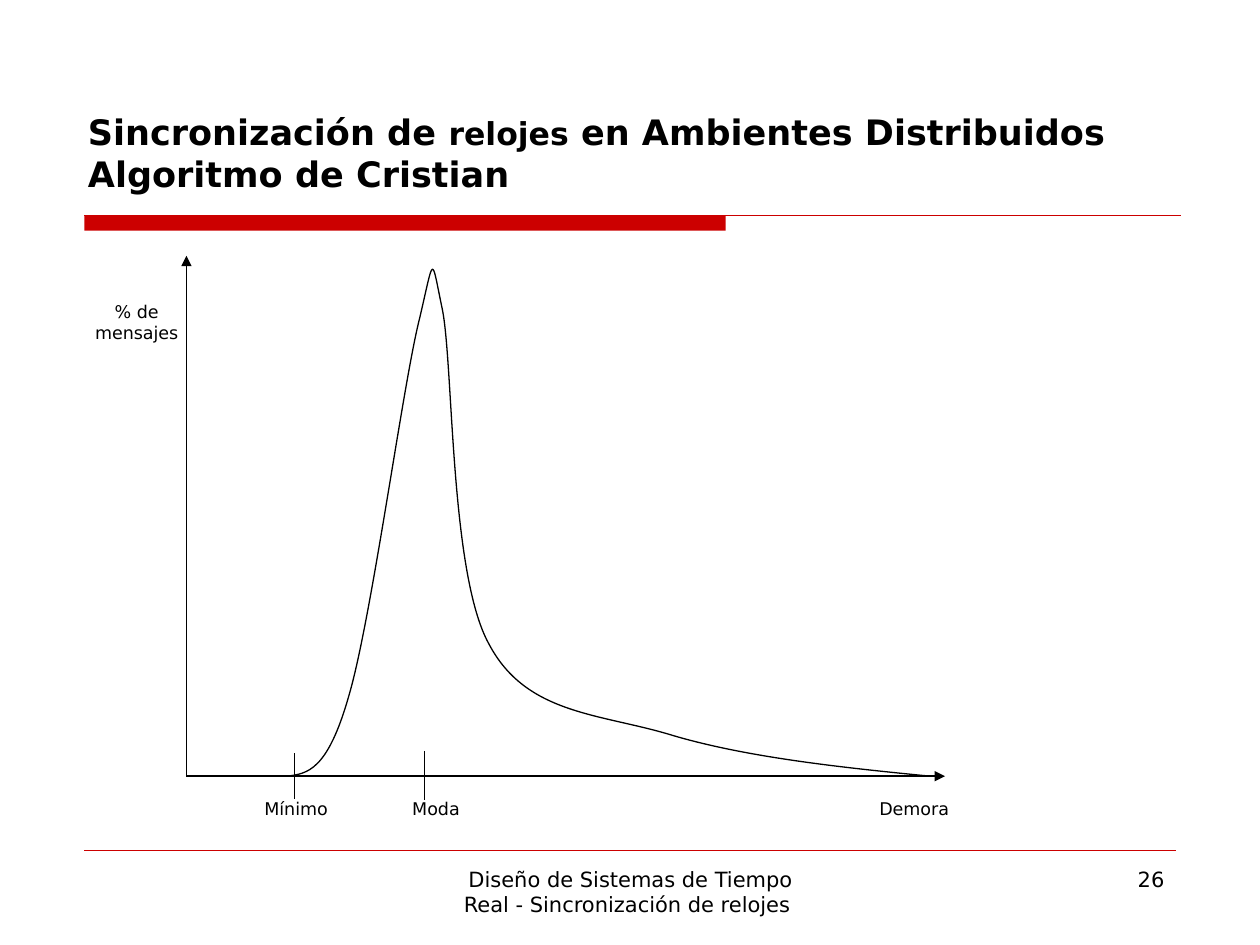
from lxml.etree import SubElement
from pptx import Presentation
from pptx.dml.color import RGBColor
from pptx.enum.shapes import MSO_CONNECTOR as Connector, MSO_SHAPE as Shape
from pptx.enum.text import MSO_ANCHOR as Anchor, PP_ALIGN as Align
from pptx.oxml.ns import qn
from pptx.util import Inches, Pt

BLACK, RED = "000000", "CC0000"
FONT = "DejaVu Sans"


def color(value):
    return RGBColor.from_string(value)


def add_text(slide, box, paragraphs, size, align=Align.CENTER, anchor=Anchor.TOP,
             insets=(0.1, 0.05), wrap=True):
    """Each paragraph is a list of runs (text, format); None is a line break."""
    shape = slide.shapes.add_textbox(*map(Inches, box))
    frame = shape.text_frame
    side, end = map(Inches, insets)
    frame_format = {"word_wrap": wrap, "vertical_anchor": anchor,
                    "margin_left": side, "margin_right": side,
                    "margin_top": end, "margin_bottom": end}
    for name, value in frame_format.items():
        setattr(frame, name, value)
    for index, runs in enumerate(paragraphs):
        paragraph = frame.add_paragraph() if index else frame.paragraphs[0]
        paragraph.alignment = align
        for part in runs:
            if part is None:
                paragraph.add_line_break()
                continue
            text, changes = part
            run = paragraph.add_run()
            run.text = text
            run.font.color.rgb = color(BLACK)
            for name, value in {"name": FONT, "size": Pt(size), **changes}.items():
                setattr(run.font, name, value)


def add_line(slide, start, end, line_color=BLACK, width=0.75, arrow=False):
    line = slide.shapes.add_connector(Connector.STRAIGHT, *map(Inches, start + end))
    line.line.color.rgb = color(line_color)
    line.line.width = Pt(width)
    if arrow:
        SubElement(line.line._get_or_add_ln(), qn("a:tailEnd"), type="triangle")
    SubElement(line._element.spPr, qn("a:effectLst"))


def add_curve(slide, points):
    """Draw a Bézier curve: a start, then two controls and an end per piece."""
    scaled = [(Inches(x), Inches(y)) for x, y in points]
    builder = slide.shapes.build_freeform(*scaled[0])
    builder.add_line_segments(scaled[1:], close=False)
    shape = builder.convert_to_shape()
    shape.shadow.inherit = False
    shape.fill.background()
    shape.line.color.rgb = color(BLACK)
    shape.line.width = Pt(0.75)
    # Turn every three straight segments into one cubic piece
    segments = list(shape._element.iter(qn("a:lnTo")))
    outline = segments[0].getparent()
    for first in range(0, len(segments), 3):
        cubic = SubElement(outline, qn("a:cubicBezTo"))
        for segment in segments[first:first + 3]:
            cubic.append(segment[0])
            outline.remove(segment)


def add_title(slide, left, top, width, height):
    bold, small = {"bold": True}, {"bold": True, "size": Pt(18)}
    runs = [("Sincronización de ", bold), ("relojes", small),
            (" en Ambientes Distribuidos", bold), None,
            ("Algoritmo de Cristian", bold)]
    add_text(slide, (left, top, width, height), [runs], 20, Align.LEFT, Anchor.BOTTOM)
    # Thick bar continued by a thin rule
    rule_left, rule_top = left + 0.07, top + height + 0.12
    bar = slide.shapes.add_shape(
        Shape.RECTANGLE, *map(Inches, (rule_left, rule_top, 5.09, 0.12)))
    bar.shadow.inherit = False
    bar.fill.solid()
    bar.fill.fore_color.rgb = color(RED)
    bar.line.fill.background()
    add_line(slide, (rule_left, rule_top), (rule_left + 8.7, rule_top), RED)


def add_delay_graph(slide, left, top, width, height):
    bottom = top + height
    # Axes
    add_line(slide, (left, bottom), (left, top), arrow=True)
    add_line(slide, (left, bottom), (left + width, bottom), arrow=True)
    # Distribution of delays, relative to the top left of the axes
    curve = [(0.8, 4.13),
             (0.96, 4.11), (1.12, 4.09), (1.29, 3.49),
             (1.47, 2.88), (1.72, 1.01), (1.85, 0.5),
             (1.97, -0.01), (1.94, -0.01), (2.03, 0.42),
             (2.12, 0.85), (2.09, 2.52), (2.4, 3.08),
             (2.7, 3.65), (3.29, 3.63), (3.87, 3.81),
             (4.45, 3.98), (5.18, 4.06), (5.9, 4.13)]
    add_curve(slide, [(left + x, top + y) for x, y in curve])
    # Tick marks
    for x, rise, drop in [(0.86, 0.18, 0.18), (1.89, 0.2, 0.19)]:
        add_line(slide, (left + x, bottom - rise), (left + x, bottom + drop))
    # Axis labels
    add_text(slide, (left - 0.73, top + 0.33, 0.67, 0.72),
             [[("% de", {})], [("mensajes", {})]], 10, insets=(0, 0.03), wrap=False)
    for text, x, label_width in [("Mínimo", 0.5, 0.74), ("Moda", 1.61, 0.74),
                                 ("Demora", 5.1, 1.35)]:
        add_text(slide, (left + x, bottom + 0.14, label_width, 0.4),
                 [[(text, {})]], 10, insets=(0.07, 0.03))


def add_footer(slide, left, top, width, height):
    add_line(slide, (left, top), (left + width, top), RED, 0.25)
    text_top, text_height = top + 0.08, height - 0.08
    add_text(slide, (left + 2.75, text_top, 3.17, text_height),
             [[("Diseño de Sistemas de Tiempo Real - Sincronización de relojes ", {})]], 12)
    add_text(slide, (left + width - 2.16, text_top, 2.17, text_height),
             [[("26", {})]], 12, Align.RIGHT)


def main():
    presentation = Presentation()
    presentation.slide_width, presentation.slide_height = Inches(10), Inches(7.5)
    slide = presentation.slides.add_slide(presentation.slide_layouts[6])
    add_title(slide, 0.6, 0.76, 9.4, 0.83)
    add_delay_graph(slide, 1.48, 2.03, 6.02, 4.13)
    add_footer(slide, 0.67, 6.75, 8.66, 0.6)
    presentation.save("out.pptx")


if __name__ == "__main__":
    main()
